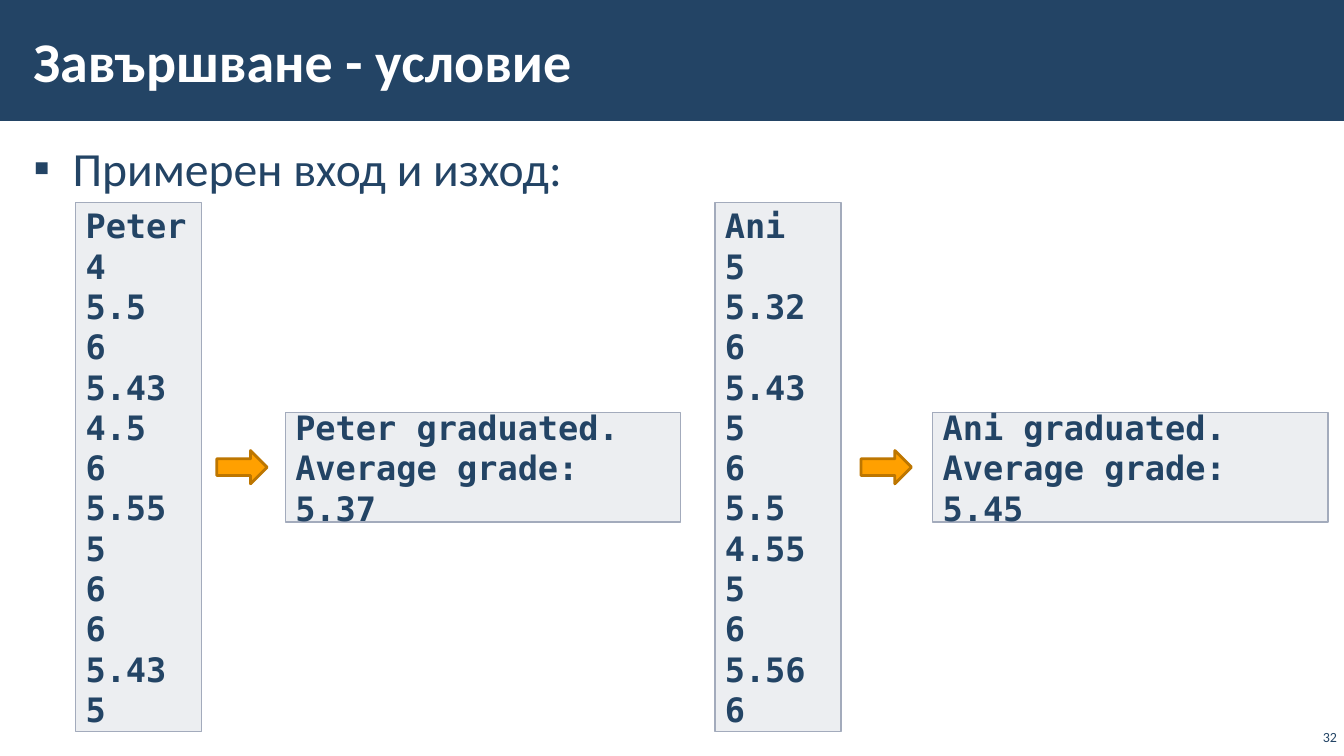
from lxml.etree import SubElement
from pptx import Presentation
from pptx.dml.color import RGBColor
from pptx.enum.shapes import MSO_SHAPE as SHAPE
from pptx.enum.text import MSO_ANCHOR as ANCHOR, MSO_AUTO_SIZE as AUTO, PP_ALIGN as ALIGN
from pptx.oxml.ns import qn
from pptx.util import Inches, Pt

TITLE = "Завършване - условие"
BULLET = "Примерен вход и изход:"
PAGE = "32"
EXAMPLES = [
    dict(
        grades="Peter 4 5.5 6 5.43 4.5 6 5.55 5 6 6 5.43 5".split(),
        result="Peter graduated. Average grade: 5.37",
        columns=(0.75, 2.15, 2.83),
    ),
    dict(
        grades="Ani 5 5.32 6 5.43 5 6 5.5 4.55 5 6 5.56 6".split(),
        result="Ani graduated. Average grade: 5.45",
        columns=(7.09, 8.54, 9.25),
    ),
]
NAVY, WHITE, GREY, ORANGE, BROWN = "234465", "FFFFFF", "A3ABBC", "FFA000", "BD7600"
SANS, MONO = "Calibri", "DejaVu Sans Mono"
WIDTH, HEIGHT = 13.33, 7.5
MIDDLE = 4.635
INSETS = (0.12, 0.04, 0.12, 0.04)


def color(value):
    return RGBColor.from_string(value)


def place(s, x, y, w, h):
    s.left, s.top, s.width, s.height = map(Inches, (x, y, w, h))


def write(s, lines, size, font=SANS, ink=NAVY, bold=False, align=ALIGN.LEFT,
          anchor=ANCHOR.MIDDLE, insets=(0.1, 0.05, 0.1, 0.05)):
    tf = s.text_frame
    tf.word_wrap = True
    tf.auto_size = AUTO.NONE
    tf.vertical_anchor = anchor
    tf.margin_left, tf.margin_top, tf.margin_right, tf.margin_bottom = map(Inches, insets)
    for i, line in enumerate(lines):
        p = tf.add_paragraph() if i else tf.paragraphs[0]
        p.alignment = align
        r = p.add_run()
        r.text = line
        r.font.size, r.font.name, r.font.bold = Pt(size), font, bold
        r.font.color.rgb = color(ink)
    return tf


def add_block(slide, kind, box, fill, line=None, width=1, opacity=None):
    s = slide.shapes.add_shape(kind, *map(Inches, box))
    s.shadow.inherit = False
    s.fill.solid()
    s.fill.fore_color.rgb = color(fill)
    if opacity:
        clr = s.element.spPr.find(qn("a:solidFill"))[0]
        SubElement(clr, qn("a:alpha"), val=str(opacity * 1000))
    if line:
        s.line.color.rgb = color(line)
        s.line.width = Pt(width)
    else:
        s.line.fill.background()
    return s


def add_code(slide, x, w, h, lines):
    s = add_block(slide, SHAPE.RECTANGLE, (x, MIDDLE - h / 2, w, h), GREY, GREY, opacity=20)
    write(s, lines, 24, font=MONO, bold=True)


def add_example(slide, grades, result, columns):
    grades_x, arrow_x, result_x = columns
    add_code(slide, grades_x, 1.25, 5.25, grades)
    add_block(slide, SHAPE.RIGHT_ARROW, (arrow_x, MIDDLE - 0.165, 0.5, 0.33),
              ORANGE, BROWN, width=2)
    add_code(slide, result_x, 3.92, 1.09, [result])


def main():
    prs = Presentation()
    prs.slide_width, prs.slide_height = Inches(WIDTH), Inches(HEIGHT)
    slide = prs.slides.add_slide(prs.slide_layouts[1])
    title, body = slide.placeholders

    bar = add_block(slide, SHAPE.RECTANGLE, (0, 0, WIDTH, 1.2), NAVY)
    title.element.addprevious(bar.element)

    place(title, 0.21, 0.11, 10.63, 0.97)
    write(title, [TITLE], 40, ink=WHITE, bold=True, insets=INSETS)

    place(body, 0.21, 1.31, 12.92, 6.05)
    p = write(body, [BULLET], 34, anchor=ANCHOR.TOP, insets=INSETS).paragraphs[0]
    p.line_spacing = 1.05
    p.space_before = p.space_after = Pt(6)
    pPr = p.runs[0].font and p._p.get_or_add_pPr()
    pPr.set("marL", str(Inches(0.39)))
    pPr.set("indent", str(-Inches(0.39)))
    SubElement(pPr, qn("a:buChar"), char="▪")

    for example in EXAMPLES:
        add_example(slide, **example)

    number = slide.shapes.add_textbox(*map(Inches, (12.96, 7.12, 0.4, 0.32)))
    write(number, [PAGE], 10, align=ALIGN.RIGHT, anchor=ANCHOR.BOTTOM)
    prs.save("out.pptx")


if __name__ == "__main__":
    main()
